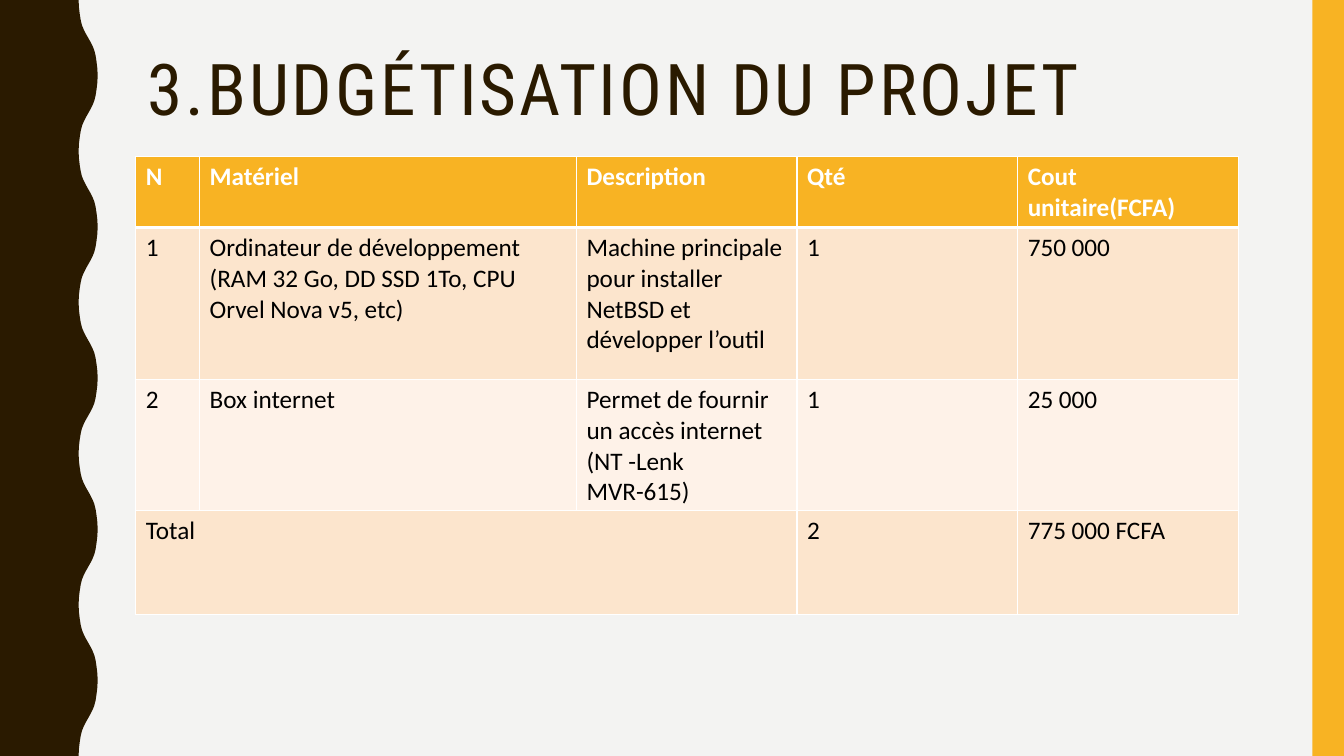
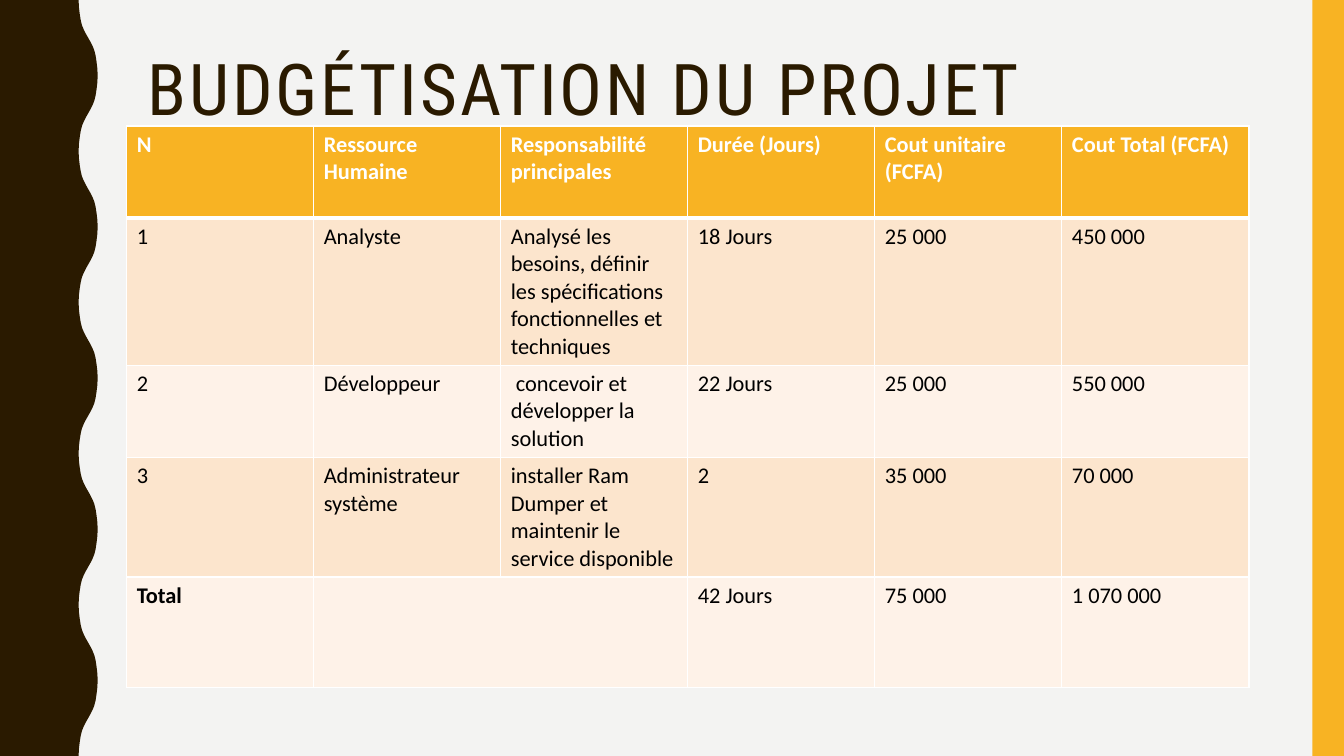
import pptx
import pptx.dml.color
import pptx.enum.shapes
import pptx.enum.text
import pptx.oxml.ns
import pptx.util
from dataclasses import dataclass
from lxml import etree

Pt = pptx.util.Pt


@dataclass(frozen=True)
class Theme:
    background: str = "F3F3F2"
    dark: str = "2A1A00"
    accent: str = "F8B323"
    bands: tuple = ("FCE5CD", "FEF2E8")
    white: str = "FFFFFF"
    black: str = "000000"
    title_font: str = "Roboto Condensed"
    body_font: str = "Calibri"
    title_size: int = 51
    title_spacing: int = 2
    large_cell: int = 18
    small_cell: int = 16
    thin: int = 1
    thick: int = 3


THEME = Theme()
WIDTH, HEIGHT = 960, 540
WAVE_PERIOD, WAVE_CENTRE = 108, 63
# (x, y) of the first quarter of one wave
WAVE_QUARTER = [(56.2, 0), (56.4, 5), (57, 10), (57.7, 14.4),
                (58.6, 18), (59.8, 21), (61.3, 24)]


def rgb(value):
    return pptx.dml.color.RGBColor.from_string(value)


def paint(sp, color):
    sp.shadow.inherit = False
    sp.fill.solid()
    sp.fill.fore_color.rgb = rgb(color)
    sp.line.fill.background()


def wave_edge():
    """Points of the wavy edge from top to bottom, built by mirroring."""
    half = WAVE_QUARTER + [(2 * WAVE_CENTRE - x, WAVE_PERIOD / 2 - y)
                           for x, y in reversed(WAVE_QUARTER)]
    wave = half + [(x, WAVE_PERIOD - y) for x, y in reversed(half)]
    return [(x, y + n * WAVE_PERIOD)
            for n in range(HEIGHT // WAVE_PERIOD) for x, y in wave]


def add_side_bands(slide):
    builder = slide.shapes.build_freeform(0, 0)
    outline = wave_edge() + [(0, HEIGHT)]
    builder.add_line_segments([(Pt(x), Pt(y)) for x, y in outline])
    paint(builder.convert_to_shape(), THEME.dark)
    band = slide.shapes.add_shape(pptx.enum.shapes.MSO_SHAPE.RECTANGLE,
                                  Pt(937.5), 0, Pt(22.5), Pt(HEIGHT))
    paint(band, THEME.accent)


def add_title(slide, text):
    sp = slide.shapes.add_textbox(Pt(98.6), Pt(30.2), Pt(801.4), Pt(72))
    tf = sp.text_frame
    tf.word_wrap = True
    tf.vertical_anchor = pptx.enum.text.MSO_ANCHOR.MIDDLE
    p = tf.paragraphs[0]
    p.line_spacing = 0.9
    r = p.add_run()
    r.text = text
    r.font.name = THEME.title_font
    r.font.size = Pt(THEME.title_size)
    r.font.color.rgb = rgb(THEME.dark)
    r.font._element.set("spc", str(THEME.title_spacing * 100))


def set_borders(cell, top, bottom):
    tc_pr = cell._tc.get_or_add_tcPr()
    qn = pptx.oxml.ns.qn
    widths = {"L": THEME.thin, "R": THEME.thin, "T": top, "B": bottom}
    for side, width in widths.items():
        ln = etree.SubElement(tc_pr, qn(f"a:ln{side}"), w=str(Pt(width)))
        fill = etree.SubElement(ln, qn("a:solidFill"))
        etree.SubElement(fill, qn("a:srgbClr"), val=THEME.white)


def style_cell(cell, row, size, bold):
    header = row == 0
    set_borders(cell, THEME.thick if row == 1 else THEME.thin,
                THEME.thick if header else THEME.thin)
    cell.fill.solid()
    cell.fill.fore_color.rgb = rgb(
        THEME.accent if header else THEME.bands[(row - 1) % 2])
    font = cell.text_frame.paragraphs[0].font
    font.name = THEME.body_font
    font.size = Pt(size)
    font.bold = bold
    font.color.rgb = rgb(THEME.white if header else THEME.black)


def add_budget_table(slide, left, top, widths, heights, rows, size,
                     total_span, bold_total=False):
    """Draw the rows; total_span gives the merged columns of the last row."""
    frame = slide.shapes.add_table(len(rows), len(widths), Pt(left), Pt(top),
                                   Pt(sum(widths)), Pt(sum(heights)))
    table = frame.table
    for column, width in zip(table.columns, widths):
        column.width = Pt(width)
    last = len(rows) - 1
    for i, (texts, height) in enumerate(zip(rows, heights)):
        table.rows[i].height = Pt(height)
        for j, text in enumerate(texts):
            cell = table.cell(i, j)
            cell.text = text
            bold = i == 0 or (bold_total and i == last and j == 0)
            style_cell(cell, i, size, bold)
    first, final = total_span
    table.cell(last, first).merge(table.cell(last, final))


def add_budget_slide(prs, title):
    slide = prs.slides.add_slide(prs.slide_layouts[6])
    add_side_bands(slide)
    add_title(slide, title)
    return slide


def main():
    prs = pptx.Presentation()
    prs.slide_width, prs.slide_height = Pt(WIDTH), Pt(HEIGHT)
    background = prs.slide_master.background.fill
    background.solid()
    background.fore_color.rgb = rgb(THEME.background)

    slide = add_budget_slide(prs, "3.BUDGÉTISATION DU PROJET")
    add_budget_table(
        slide, 97, 111.6, [45.6, 269.2] + [157.6] * 3, [51, 108.5, 74.4, 74.4],
        [["N", "Matériel", "Description", "Qté", "Cout unitaire(FCFA)"],
         ["1", "Ordinateur de développement (RAM 32 Go, DD SSD 1To, CPU "
          "Orvel Nova v5, etc)",
          "Machine principale pour installer NetBSD et développer l’outil",
          "1", "750 000"],
         ["2", "Box internet",
          "Permet de fournir un accès internet (NT -Lenk MVR-615)",
          "1", "25 000"],
         ["Total", "", "", "2", "775 000 FCFA"]],
        THEME.large_cell, total_span=(0, 2))

    slide = add_budget_slide(prs, "BUDGÉTISATION DU PROJET")
    add_budget_table(
        slide, 90.5, 90, [133.6] * 6, [65.8, 105, 66, 85.4, 79.2],
        [["N", "Ressource Humaine", "Responsabilité principales",
          "Durée (Jours)", "Cout unitaire (FCFA)", "Cout Total (FCFA)"],
         ["1", "Analyste", "Analysé les besoins, définir les spécifications "
          "fonctionnelles et techniques", "18 Jours", "25 000", "450 000"],
         ["2", "Développeur", " concevoir et développer la solution",
          "22 Jours", "25 000", "550 000"],
         ["3", "Administrateur système", "installer Ram Dumper et maintenir "
          "le service disponible", "2", "35 000", "70 000"],
         ["Total", "", "", "42 Jours", "75 000", "1 070 000"]],
        THEME.small_cell, total_span=(1, 2), bold_total=True)

    prs.save("out.pptx")


if __name__ == "__main__":
    main()
